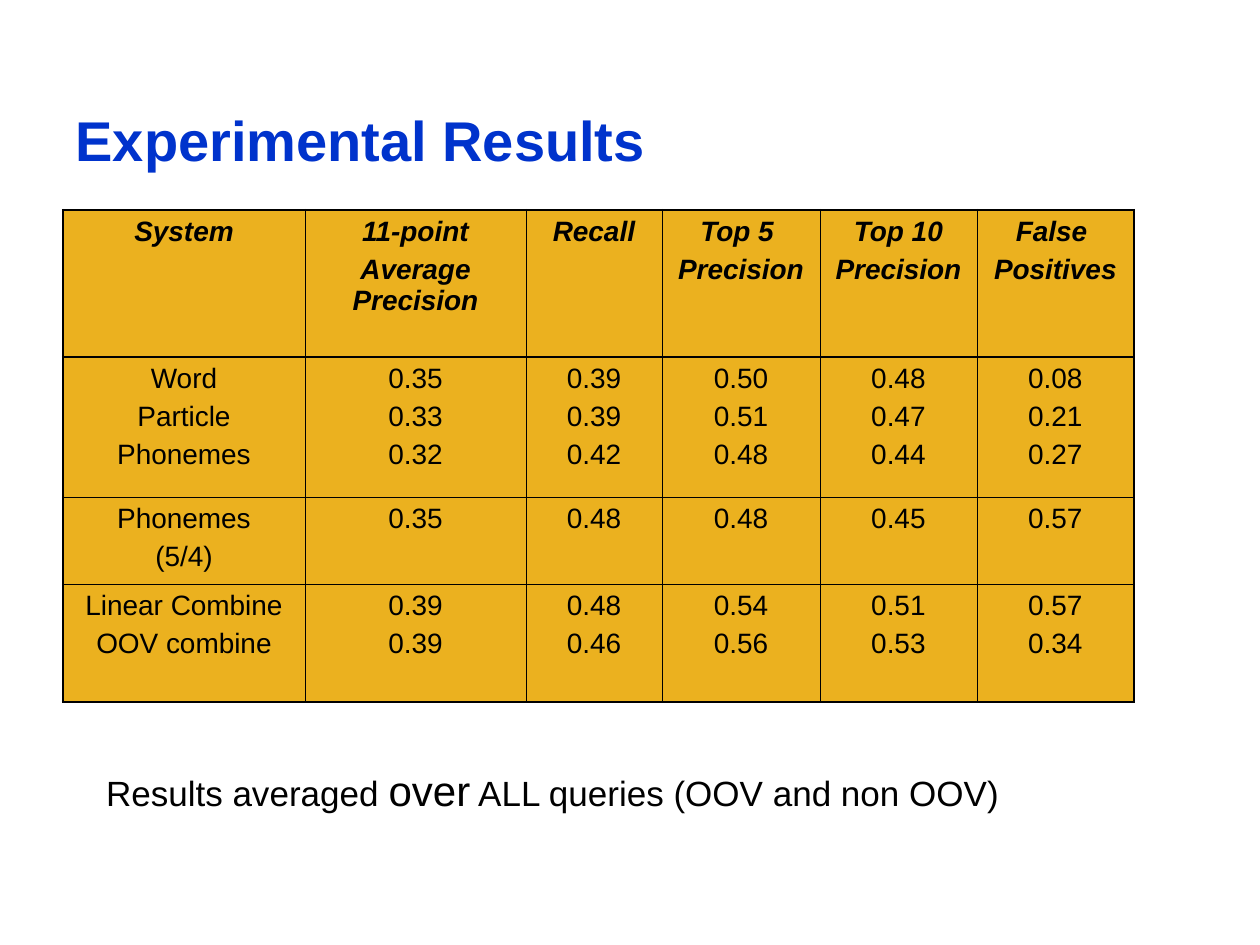
from lxml import etree
from pptx import Presentation
from pptx.dml.color import RGBColor
from pptx.enum.text import MSO_ANCHOR, PP_ALIGN
from pptx.oxml.ns import qn
from pptx.util import Pt

LEFT, CENTER = PP_ALIGN.LEFT, PP_ALIGN.CENTER
TOP, BOTTOM = MSO_ANCHOR.TOP, MSO_ANCHOR.BOTTOM
TITLE_ONLY = 5
EMU_PER_PX = 914400 / 126
FONT = "Arial"
BLUE = RGBColor(0x00, 0x33, 0xCC)
BLACK = RGBColor(0x00, 0x00, 0x00)
GOLD = RGBColor(0xEB, 0xB1, 0x1F)
THICK, THIN = Pt(1.47), Pt(0.45)

COLUMN_WIDTHS = [242, 221, 136, 158, 157, 157]
ROW_HEIGHTS = [147, 140, 87, 118]
RESULTS = [
    ["System", "11-point\nAverage Precision", "Recall",
     "Top 5 \nPrecision", "Top 10\nPrecision", "False \nPositives"],
    ["Word\nParticle\nPhonemes", "0.35\n0.33\n0.32", "0.39\n0.39\n0.42",
     "0.50\n0.51\n0.48", "0.48\n0.47\n0.44", "0.08\n0.21\n0.27"],
    ["Phonemes\n(5/4)", "0.35", "0.48", "0.48", "0.45", "0.57"],
    ["Linear Combine\nOOV combine", "0.39\n0.39", "0.48\n0.46",
     "0.54\n0.56", "0.51\n0.53", "0.57\n0.34"],
]
CAPTION = [("Results averaged ", 20), ("over", 24),
           (" ALL queries (OOV and non OOV)", 20)]


def px(length):
    return round(length * EMU_PER_PX)


def format_run(run, size, color=BLACK, bold=False, italic=False):
    font = run.font
    font.name, font.size = FONT, Pt(size)
    font.bold, font.italic = bold, italic
    font.color.rgb = color


def add_title(slide, text):
    title = slide.shapes.title
    title.left, title.top, title.width, title.height = map(px, (63, 95, 1134, 84))
    frame = title.text_frame
    frame.text = text
    frame.vertical_anchor = BOTTOM
    heading = frame.paragraphs[0]
    heading.alignment = LEFT
    format_run(heading.runs[0], 32, BLUE, bold=True)


def set_borders(cell, widths):
    properties = cell._tc.get_or_add_tcPr()
    for index, (side, width) in enumerate(widths.items()):
        line = etree.Element(qn(f"a:{side}"), w=str(width))
        fill = etree.SubElement(line, qn("a:solidFill"))
        etree.SubElement(fill, qn("a:srgbClr"), val=str(BLACK))
        properties.insert(index, line)


def fill_cell(cell, text, is_header):
    cell.fill.solid()
    cell.fill.fore_color.rgb = GOLD
    cell.vertical_anchor = TOP
    cell.text_frame.text = text
    for index, paragraph in enumerate(cell.text_frame.paragraphs):
        paragraph.alignment = CENTER
        if index:
            paragraph.space_before = Pt(4)
        format_run(paragraph.runs[0], 16, bold=is_header, italic=is_header)


def add_results_table(slide):
    last_row, last_column = len(ROW_HEIGHTS) - 1, len(COLUMN_WIDTHS) - 1
    table = slide.shapes.add_table(
        len(ROW_HEIGHTS), len(COLUMN_WIDTHS), px(63), px(210),
        px(sum(COLUMN_WIDTHS)), px(sum(ROW_HEIGHTS))).table
    table.horz_banding = False
    for column, width in zip(table.columns, COLUMN_WIDTHS):
        column.width = px(width)
    for row, height in zip(table.rows, ROW_HEIGHTS):
        row.height = px(height)
    for r, texts in enumerate(RESULTS):
        for c, text in enumerate(texts):
            cell = table.cell(r, c)
            fill_cell(cell, text, is_header=r == 0)
            set_borders(cell, {
                "lnL": THICK if c == 0 else THIN,
                "lnR": THICK if c == last_column else THIN,
                "lnT": THICK if r <= 1 else THIN,
                "lnB": THICK if r in (0, last_row) else THIN,
            })


def add_caption(slide, parts):
    caption = slide.shapes.add_textbox(px(95), px(756), px(1092), px(95))
    frame = caption.text_frame
    frame.word_wrap = True
    frame.margin_left = frame.margin_right = px(11)
    frame.margin_top, frame.margin_bottom = px(9), px(5)
    for text, size in parts:
        run = frame.paragraphs[0].add_run()
        run.text = text
        format_run(run, size)


def main():
    presentation = Presentation()
    presentation.slide_width, presentation.slide_height = px(1260), px(945)
    slide = presentation.slides.add_slide(presentation.slide_layouts[TITLE_ONLY])
    add_title(slide, "Experimental Results")
    add_results_table(slide)
    add_caption(slide, CAPTION)
    presentation.save("out.pptx")


if __name__ == "__main__":
    main()
